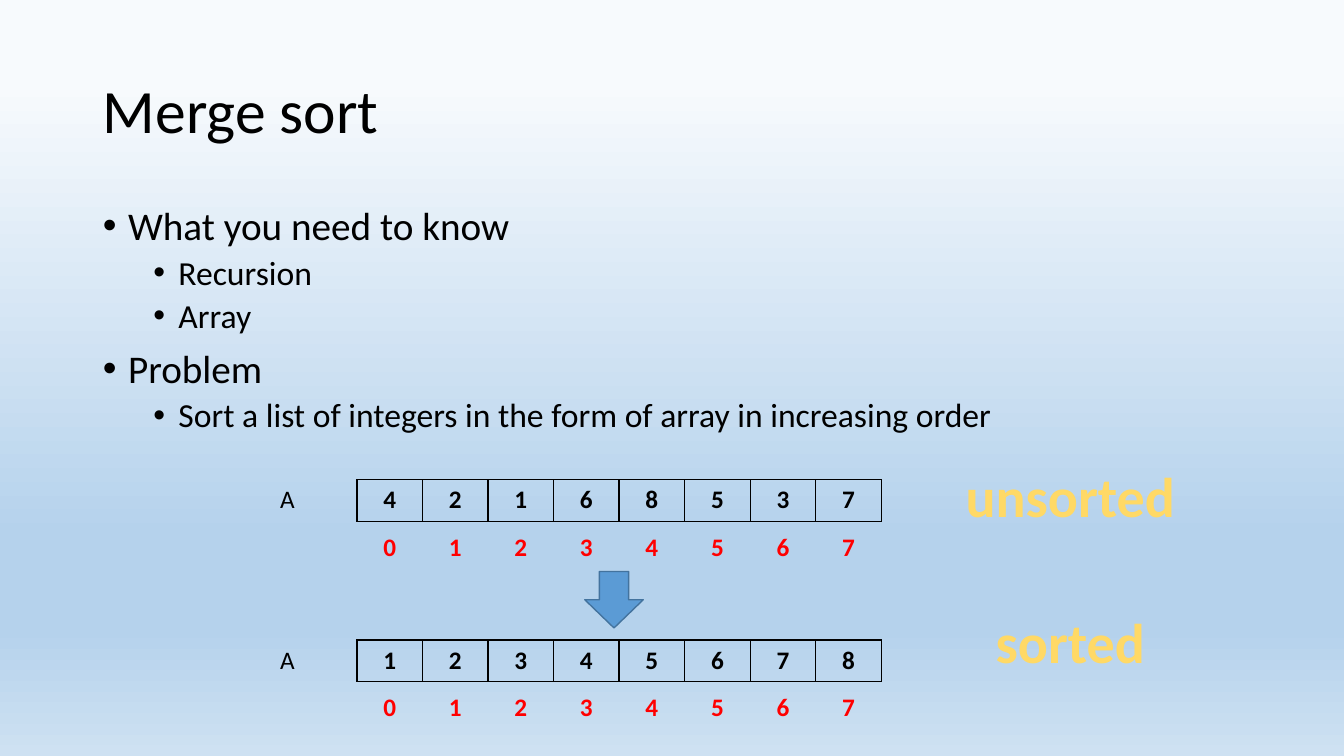
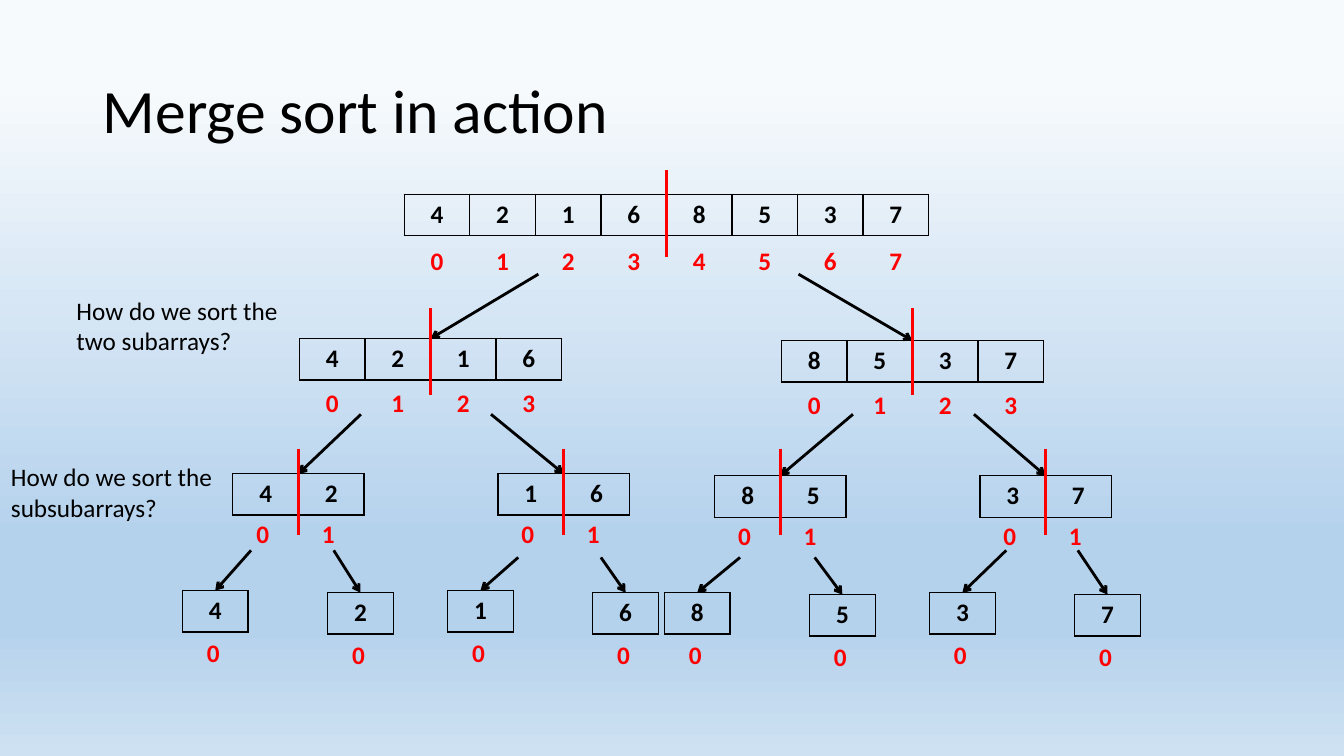
from collections import namedtuple

from lxml import etree
from pptx import Presentation
from pptx.dml.color import RGBColor
from pptx.enum.shapes import MSO_CONNECTOR as CONNECTOR, MSO_SHAPE as SHAPE
from pptx.enum.text import MSO_ANCHOR as ANCHOR, MSO_AUTO_SIZE as AUTO, PP_ALIGN as ALIGN
from pptx.oxml.ns import qn
from pptx.util import Inches, Pt

FONT = "Calibri"
BLACK, RED, GOLD, BLUE, STEEL = "000000", "FF0000", "FFD966", "5B9BD5", "43739E"
BACKGROUND = [(11, "F7FAFD"), (71, "B5D2EC"), (83, "B5D2EC"), (100, "CEE1F2")]
NO_GRID_STYLE = "{2D5ABB26-0587-4C30-8999-92F81FD0307C}"
CELL_W, CELL_H = 0.65, 0.41
DIVIDER_H = 0.86

Level = namedtuple("Level", "divider_top index_dx index_dy left_dx right_dx child_dy right_drop")
LEVELS = {
    8: Level(1.69, 0, 0.47, -1.04, 3.74, 1.43, 0.02),
    4: Level(3.06, 0, 0.44, -0.66, 1.97, 1.34, 0),
    2: Level(4.45, -0.03, 0.4, -0.5, 0.94, 1.16, 0.02),
    1: Level(None, -0.02, 0.42, 0, 0, 0, 0),
}
ARROW_STARTS = {
    "42168537": (2.72, 5.34, 7.92),
    "4216": (4.11, 3.58, 4.87),
    "8537": (4.11, 8.46, 9.66),
    "42": (5.46, 2.49, 3.31),
    "16": (5.53, 5.14, 5.96),
    "85": (5.53, 7.34, 8.08),
    "37": (5.46, 9.98, 10.69),
}


def rgb(value):
    """Turn a hex string into a colour."""
    return RGBColor.from_string(value)


def add_xml(parent, tag, **attrs):
    """Append a DrawingML element and return it."""
    return etree.SubElement(parent, qn(tag), {k: str(v) for k, v in attrs.items()})


def style(p, size, color=BLACK, bold=False, align=None):
    """Format one paragraph."""
    p.alignment = align
    p.font.name, p.font.size, p.font.bold = FONT, Pt(size), bold
    p.font.color.rgb = rgb(color)


def place(sp, x, y, w, h):
    """Set the position and size of a shape."""
    sp.left, sp.top, sp.width, sp.height = (Inches(v) for v in (x, y, w, h))


def set_background(master):
    """Give the master its vertical gradient."""
    fill = master.background.fill
    fill.gradient()
    fill.gradient_angle = 270
    stops = next(master.element.iter(qn("a:gsLst")))
    for stop in list(stops):
        stops.remove(stop)
    for percent, color in BACKGROUND:
        add_xml(add_xml(stops, "a:gs", pos=percent * 1000), "a:srgbClr", val=color)


def add_slide(prs, layout, title):
    """Add a slide with a formatted title."""
    s = prs.slides.add_slide(prs.slide_layouts[layout])
    sp = s.shapes.title
    place(sp, 0.92, 0.4, 11.5, 1.45)
    tf = sp.text_frame
    tf.text, tf.vertical_anchor = title, ANCHOR.MIDDLE
    tf.paragraphs[0].line_spacing = 0.9
    style(tf.paragraphs[0], 44, align=ALIGN.LEFT)
    return s


def add_bullets(s, items):
    """Fill the body placeholder with two-level bullets."""
    sp = s.placeholders[1]
    place(sp, 0.92, 2, 11.5, 4.76)
    tf = sp.text_frame
    for i, (level, text) in enumerate(items):
        p = tf.paragraphs[0] if i == 0 else tf.add_paragraph()
        p.text, p.level = text, level
        pPr = p._p.get_or_add_pPr()
        pPr.set("marL", str(Inches(0.25 + 0.5 * level)))
        pPr.set("indent", str(Inches(-0.25)))
        add_xml(pPr, "a:buFont", typeface="Arial")
        add_xml(pPr, "a:buChar", char="•")
        p.line_spacing, p.space_before = 0.9, Pt(5 if level else 10)
        style(p, 24 if level else 28, align=ALIGN.LEFT)


def add_text(s, text, x, y, w, h, size=18, **kwargs):
    """Add a wrapping text box."""
    tf = s.shapes.add_textbox(Inches(x), Inches(y), Inches(w), Inches(h)).text_frame
    tf.word_wrap, tf.auto_size = True, AUTO.SHAPE_TO_FIT_TEXT
    tf.text = text
    style(tf.paragraphs[0], size, **kwargs)


def add_borders(cell):
    """Draw a thin black line on each side of a cell."""
    tcPr = cell._tc.get_or_add_tcPr()
    for side in "LRTB":
        ln = add_xml(tcPr, f"a:ln{side}", w=Pt(1))
        add_xml(add_xml(ln, "a:solidFill"), "a:srgbClr", val=BLACK)


def add_row(s, values, x, y, color=BLACK, bordered=False):
    """Add a one-row table with one value per cell."""
    n = len(values)
    frame = s.shapes.add_table(1, n, Inches(x), Inches(y), Inches(CELL_W * n), Inches(CELL_H))
    table = frame.table
    table.first_row = table.horz_banding = False
    next(frame._element.iter(qn("a:tableStyleId"))).text = NO_GRID_STYLE
    for column, cell, value in zip(table.columns, table.iter_cells(), values):
        column.width = Inches(CELL_W)
        if bordered:
            add_borders(cell)
        cell.fill.background()
        cell.text = str(value)
        style(cell.text_frame.paragraphs[0], 18, color, True, ALIGN.CENTER)


def add_array(s, values, x, y, index_dx=0, index_dy=0.47):
    """Add a bordered array with its red indices below."""
    add_row(s, values, x, y, bordered=True)
    add_row(s, range(len(values)), x + index_dx, y + index_dy, RED)


def add_line(s, x1, y1, x2, y2, color=BLACK, arrow=False):
    """Add a straight line, with an arrowhead at its end if asked."""
    line = s.shapes.add_connector(
        CONNECTOR.STRAIGHT, Inches(x1), Inches(y1), Inches(x2), Inches(y2))
    line.line.color.rgb, line.line.width = rgb(color), Pt(2)
    if arrow:
        add_xml(line.line._get_or_add_ln(), "a:tailEnd", type="arrow")
    add_xml(line._element.spPr, "a:effectLst")


def add_tree(s, values, x, y):
    """Draw an array, its dividing line and, recursively, its halves."""
    level = LEVELS[len(values)]
    add_array(s, values, x, y, level.index_dx, level.index_dy)
    if len(values) == 1:
        return
    half = len(values) // 2
    start_y, left_start, right_start = ARROW_STARTS[values]
    children = [
        (values[:half], left_start, level.left_dx, 0),
        (values[half:], right_start, level.right_dx, level.right_drop),
    ]
    for part, start_x, dx, drop in children:
        child_x, child_y = x + dx, y + level.child_dy + drop
        add_line(s, start_x, start_y, child_x + half * CELL_W / 2, child_y, arrow=True)
        add_tree(s, part, child_x, child_y)
    middle = x + half * CELL_W
    add_line(s, middle, level.divider_top, middle, level.divider_top + DIVIDER_H, RED)


def add_down_arrow(s):
    """Add the block arrow between the two arrays."""
    sp = s.shapes.add_shape(
        SHAPE.DOWN_ARROW, Inches(5.8), Inches(5.67), Inches(0.58), Inches(0.56))
    sp.shadow.inherit = False
    sp.fill.solid()
    sp.fill.fore_color.rgb = rgb(BLUE)
    sp.line.color.rgb, sp.line.width = rgb(STEEL), Pt(1)


def build_problem(prs):
    """Build the slide that states the problem."""
    s = add_slide(prs, 1, "Merge sort")
    add_bullets(s, [
        (0, "What you need to know"),
        (1, "Recursion"),
        (1, "Array"),
        (0, "Problem"),
        (1, "Sort a list of integers in the form of array in increasing order"),
    ])
    arrays = [("42168537", 4.76, "unsorted", 4.53), ("12345678", 6.35, "sorted", 5.98)]
    for values, y, caption, caption_y in arrays:
        add_array(s, values, 3.54, y)
        add_text(s, "A", 2.68, y - 0.01, 0.58, 0.4)
        add_text(s, caption, 9.09, caption_y, 3.05, 0.77, 40,
                 color=GOLD, bold=True, align=ALIGN.CENTER)
    add_down_arrow(s)


def build_action(prs):
    """Build the slide that splits the array step by step."""
    s = add_slide(prs, 5, "Merge sort in action")
    add_tree(s, "42168537", 4.01, 1.93)
    add_text(s, "How do we sort the two subarrays?", 0.66, 2.88, 2.41, 0.71)
    add_text(s, "How do we sort the subsubarrays?", 0.01, 4.53, 2.41, 0.71)


def main():
    """Build and save the presentation."""
    prs = Presentation()
    prs.slide_width, prs.slide_height = Inches(13.33), Inches(7.5)
    set_background(prs.slide_master)
    build_problem(prs)
    build_action(prs)
    prs.save("out.pptx")


if __name__ == "__main__":
    main()
